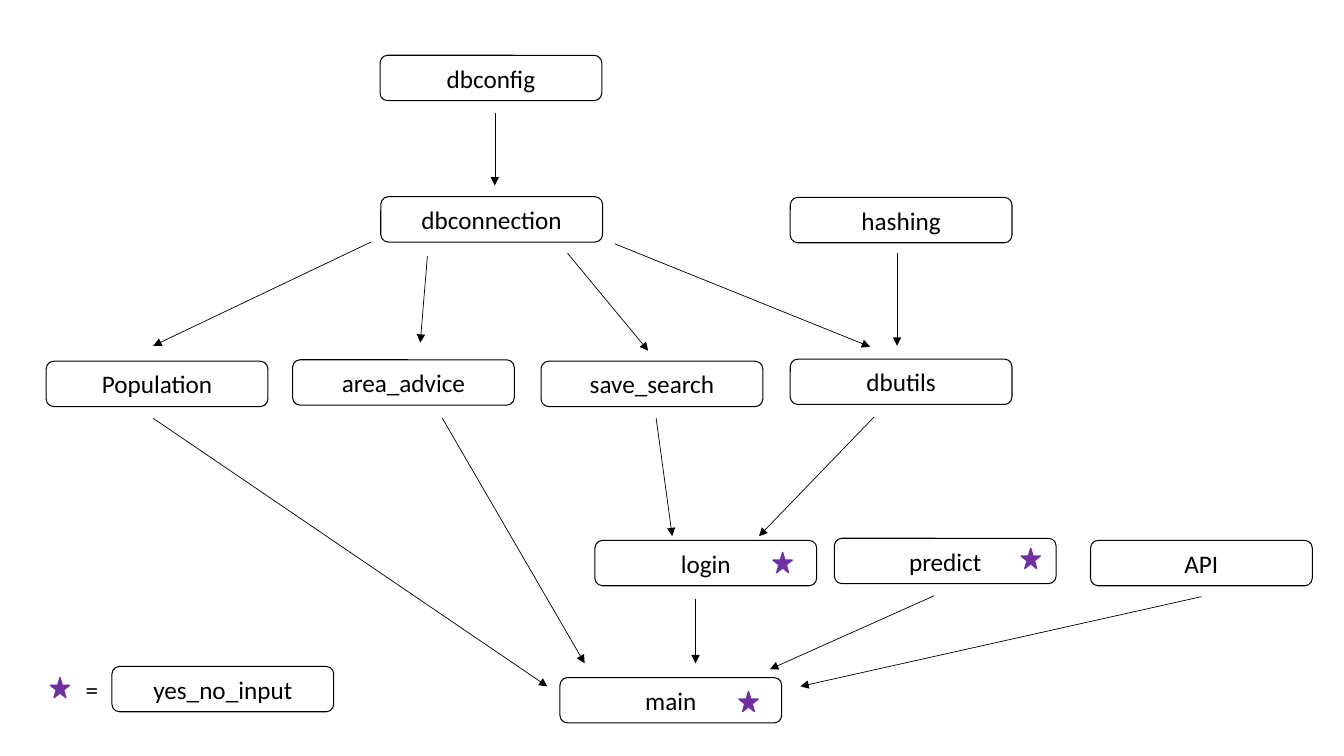
from pptx import Presentation
from pptx.dml.color import RGBColor
from pptx.enum import shapes, text
from pptx.oxml import ns, xmlchemy
from pptx.util import Pt

BLACK, PURPLE = "000000", "7030A0"
MODULE_W, MODULE_H = 158.4, 32.4
STAR_W, STAR_H = 13.7, 14.4

MODULES = {
    "main": (400, 484),
    "dbconfig": (271.5, 39.5),
    "dbconnection": (272, 140.5),
    "login": (425, 386),
    "API": (779, 386),
    "predict": (596, 384.5),
    "Population": (33, 258),
    "save_search": (386.5, 258),
    "area_advice": (209, 257),
    "hashing": (564.5, 141),
    "dbutils": (564.5, 256.5),
}

IMPORTS = [
    ("dbconfig", (82, 8.7), "dbconnection", (81.5, -8)),
    ("dbconnection", (-7, 0), "Population", (76.5, -11)),
    ("dbconnection", (33.3, 10), "area_advice", (91.2, -12.2)),
    ("dbconnection", (133.4, 8), "save_search", (76.5, -7.5)),
    ("dbconnection", (167.2, 1.3), "dbutils", (57, -8.8)),
    ("hashing", (76.3, 7.3), "dbutils", (76.3, -9.5)),
    ("save_search", (82.2, 8.4), "login", (55.2, -3)),
    ("dbutils", (59.7, 9.1), "login", (117.2, -3)),
    ("Population", (76.4, 8.4), "main", (-9, 6.3)),
    ("area_advice", (107, 9.4), "main", (17.6, -10.2)),
    ("login", (71.8, 9.3), "main", (96.8, -10.2)),
    ("predict", (71.4, 8.6), "main", (150, -6)),
    ("API", (79.2, 7.8), "main", (171.7, 6.3)),
]

STARRED = {"main": (127.8, 9.9), "login": (127.2, 8.6), "predict": (133.4, 7.2)}


def color(value):
    return RGBColor.from_string(value)


def write(shape, words, size=18, font="Calibri", ink=BLACK,
          align=text.PP_ALIGN.CENTER, anchor=text.MSO_ANCHOR.MIDDLE):
    frame = shape.text_frame
    frame.word_wrap = True
    frame.vertical_anchor = anchor
    paragraph = frame.paragraphs[0]
    paragraph.alignment = align
    run = paragraph.add_run()
    run.text = words
    run.font.size = Pt(size)
    run.font.name = font
    run.font.color.rgb = color(ink)


def add_module(slide, name, left, top):
    module = slide.shapes.add_shape(
        shapes.MSO_SHAPE.ROUNDED_RECTANGLE,
        Pt(left), Pt(top), Pt(MODULE_W), Pt(MODULE_H))
    module.shadow.inherit = False
    module.fill.background()
    module.line.color.rgb = color(BLACK)
    module.line.width = Pt(0.75)
    write(module, name)


def add_star(slide, left, top):
    star = slide.shapes.add_shape(
        shapes.MSO_SHAPE.STAR_5_POINT, Pt(left), Pt(top), Pt(STAR_W), Pt(STAR_H))
    star.shadow.inherit = False
    star.fill.solid()
    star.fill.fore_color.rgb = color(PURPLE)
    star.line.color.rgb = color(PURPLE)
    star.line.width = Pt(1)


def add_arrow(slide, start, end):
    arrow = slide.shapes.add_connector(
        shapes.MSO_CONNECTOR.STRAIGHT, *(Pt(value) for value in (*start, *end)))
    arrow.line.color.rgb = color(BLACK)
    arrow.line.width = Pt(0.5)
    head = xmlchemy.OxmlElement("a:tailEnd")
    head.set("type", "triangle")
    properties = arrow.element.spPr
    properties.find(ns.qn("a:ln")).append(head)
    properties.append(xmlchemy.OxmlElement("a:effectLst"))


def draw_dependencies(slide, left, top):
    corners = {name: (left + x, top + y) for name, (x, y) in MODULES.items()}
    for name, corner in corners.items():
        add_module(slide, name, *corner)
    for source, (out_x, out_y), target, (in_x, in_y) in IMPORTS:
        source_x, source_y = corners[source]
        target_x, target_y = corners[target]
        add_arrow(slide,
                  (source_x + out_x, source_y + MODULE_H + out_y),
                  (target_x + in_x, target_y + in_y))
    for name, (x, y) in STARRED.items():
        add_star(slide, corners[name][0] + x, corners[name][1] + y)


def draw_legend(slide, left, top):
    add_star(slide, left, top + 8)
    equals = slide.shapes.add_textbox(Pt(left + 18), Pt(top + 2), Pt(26), Pt(28.8))
    write(equals, "=", align=text.PP_ALIGN.LEFT, anchor=text.MSO_ANCHOR.TOP)
    add_module(slide, "yes_no_input", left + 44, top)


def main():
    deck = Presentation()
    deck.slide_width, deck.slide_height = Pt(960), Pt(540)
    slide = deck.slides.add_slide(deck.slide_layouts[6])
    draw_dependencies(slide, 0, 0)
    draw_legend(slide, 36, 476)
    deck.save("out.pptx")


if __name__ == "__main__":
    main()
